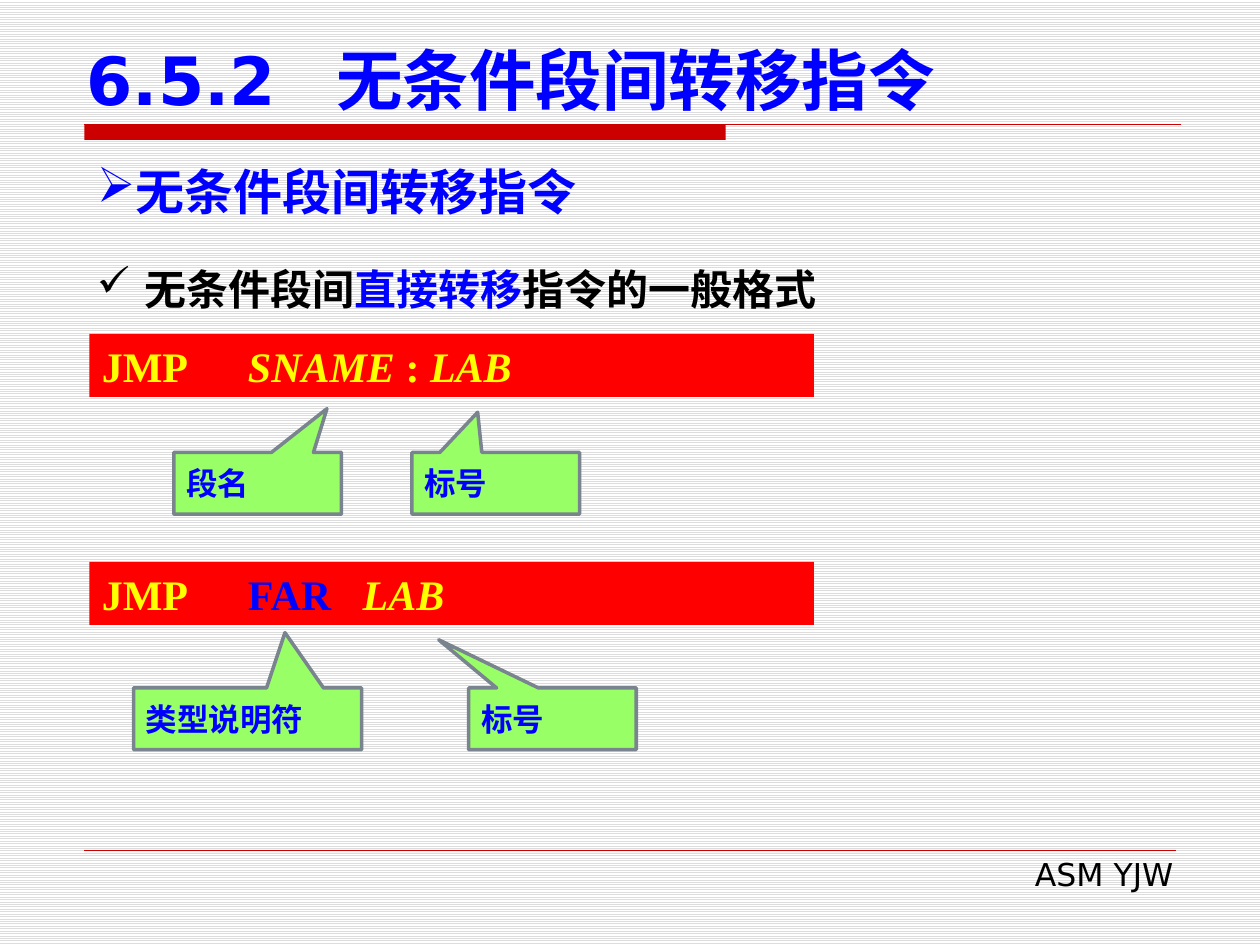
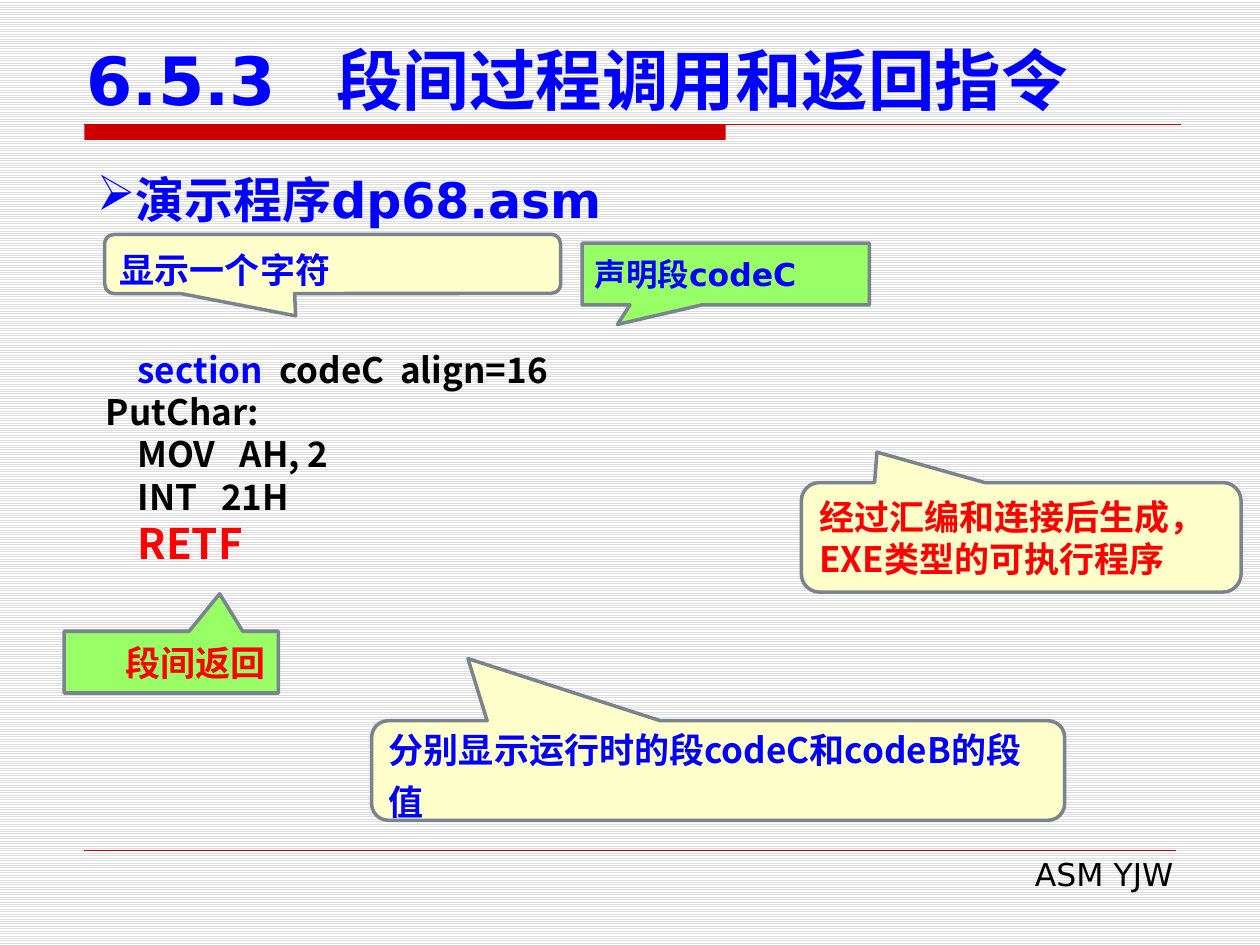
from dataclasses import dataclass

import pptx
import pptx.dml.color
import pptx.enum.dml
import pptx.enum.shapes
import pptx.enum.text
import pptx.oxml.ns
import pptx.util
from lxml import etree
from pptx.util import Inches

SHAPES = pptx.enum.shapes.MSO_SHAPE
ANCHORS = pptx.enum.text.MSO_ANCHOR
ALIGNMENTS = pptx.enum.text.PP_ALIGN


@dataclass(frozen=True)
class Theme:
    blue: str = "0000FF"
    black: str = "000000"
    red: str = "FF0000"
    yellow: str = "FFFF00"
    band: str = "CC0000"
    stripe: str = "DDDDDD"
    paper: str = "FFFFFF"
    green: str = "99FF66"
    cream: str = "FFFFCC"
    outline: str = "79848F"
    sans: str = "DejaVu Sans"
    chinese: str = "Noto Sans CJK SC"
    serif: str = "Times New Roman"
    title_size: int = 38
    heading_size: int = 28
    large_size: int = 24
    medium_size: int = 20
    small_size: int = 18


THEME = Theme()


@dataclass(frozen=True)
class Style:
    size: int
    font: str
    color: str
    bold: bool = True


TITLE = Style(THEME.title_size, THEME.sans, THEME.blue)
HEADING = Style(THEME.heading_size, THEME.sans, THEME.blue)
POINT = Style(THEME.large_size, THEME.chinese, THEME.black)
SYNTAX = Style(THEME.large_size, THEME.serif, THEME.yellow)
CODE = Style(THEME.medium_size, THEME.chinese, THEME.black)
LABEL = Style(THEME.small_size, THEME.sans, THEME.blue)
RETURN_LABEL = Style(THEME.medium_size, THEME.sans, THEME.red)
NOTE = Style(THEME.medium_size, THEME.chinese, THEME.blue)
RESULT_NOTE = Style(THEME.medium_size, THEME.chinese, THEME.red)
FOOTER = Style(THEME.small_size, THEME.sans, THEME.black, bold=False)


def rgb(color):
    return pptx.dml.color.RGBColor.from_string(color)


def add_element(parent, tag, **attributes):
    return etree.SubElement(parent, pptx.oxml.ns.qn(tag), attributes)


def format_run(run, style, color=None, size=None, italic=False):
    font = run.font
    font.size = pptx.util.Pt(size or style.size)
    font.bold = style.bold
    font.italic = italic
    font.color.rgb = rgb(color or style.color)
    font.name = style.font
    add_element(font._element, "a:ea", typeface=THEME.chinese)


def write(text_frame, lines, style, align=ALIGNMENTS.LEFT, anchor=ANCHORS.TOP,
          spacing=None, bullet=None, hanging=0, tabs=()):
    """Fill a frame; a line is a string or a list of (text, run changes)."""
    text_frame.word_wrap = True
    text_frame.vertical_anchor = anchor
    for index, line in enumerate(lines):
        paragraph = text_frame.paragraphs[0] if index == 0 else text_frame.add_paragraph()
        properties = paragraph._p.get_or_add_pPr()
        if bullet:
            properties.set("marL", str(Inches(hanging)))
            properties.set("indent", str(-Inches(hanging)))
            add_element(properties, "a:buChar", char=bullet)
        if tabs:
            stops = add_element(properties, "a:tabLst")
            for position in tabs:
                add_element(stops, "a:tab", pos=str(Inches(position)), algn="l")
        paragraph.alignment = align
        if spacing:
            paragraph.line_spacing = spacing
        pieces = [(line, {})] if isinstance(line, str) else line
        for text, changes in pieces:
            run = paragraph.add_run()
            run.text = text
            format_run(run, style, **changes)


def add_text(slide, box, lines, style, **layout):
    text_box = slide.shapes.add_textbox(*map(Inches, box))
    write(text_box.text_frame, lines, style, **layout)


def add_filled_shape(slide, kind, box, fill):
    shape = slide.shapes.add_shape(kind, *map(Inches, box))
    shape.shadow.inherit = False
    shape.fill.solid()
    shape.fill.fore_color.rgb = rgb(fill)
    shape.line.fill.background()
    return shape


def add_rule(slide, left, right, top, width):
    rule = slide.shapes.add_connector(
        pptx.enum.shapes.MSO_CONNECTOR.STRAIGHT,
        Inches(left), Inches(top), Inches(right), Inches(top))
    rule.line.color.rgb = rgb(THEME.band)
    rule.line.width = pptx.util.Pt(width)
    add_element(rule._element.spPr, "a:effectLst")


def add_callout(slide, box, tip, lines, style, rounded=False, **layout):
    """Tip is the pointer's offset from the centre, as a share of the box."""
    kind = SHAPES.ROUNDED_RECTANGULAR_CALLOUT if rounded else SHAPES.RECTANGULAR_CALLOUT
    fill = THEME.cream if rounded else THEME.green
    callout = add_filled_shape(slide, kind, box, fill)
    callout.adjustments[0], callout.adjustments[1] = tip
    callout.line.color.rgb = rgb(THEME.outline)
    callout.line.width = pptx.util.Pt(2)
    write(callout.text_frame, lines, style, anchor=ANCHORS.MIDDLE, **layout)


def add_syntax_bar(slide, top, pieces, tabs):
    bar = add_filled_shape(slide, SHAPES.RECTANGLE, (0.71, top, 5.75, 0.5), THEME.red)
    write(bar.text_frame, [pieces], SYNTAX, tabs=tabs)


def add_heading(slide, top, height, text, **layout):
    add_text(slide, (0.67, top, 8.66, height), [text], HEADING,
             align=ALIGNMENTS.JUSTIFY, bullet="➢", **layout)


def add_framed_slide(presentation, number, title):
    """Add a slide with the striped paper, title, red band and footer."""
    slide = presentation.slides.add_slide(presentation.slide_layouts[6])
    paper = slide.background.fill
    paper.patterned()
    paper.pattern = pptx.enum.dml.MSO_PATTERN.LIGHT_HORIZONTAL
    paper.fore_color.rgb = rgb(THEME.stripe)
    paper.back_color.rgb = rgb(THEME.paper)
    add_filled_shape(slide, SHAPES.RECTANGLE, (0.67, 0.99, 5.09, 0.12), THEME.band)
    add_rule(slide, 0.67, 9.37, 0.99, 0.75)
    add_rule(slide, 0.67, 9.33, 6.75, 0.25)
    add_text(slide, (3.82, 6.74, 5.59, 0.4), ["ASM YJW"], FOOTER, align=ALIGNMENTS.RIGHT)
    add_text(slide, (0.59, 0.28, 9.06, 0.71), [f"{number}\t{title}"], TITLE,
             anchor=ANCHORS.BOTTOM, tabs=[1.98])
    return slide


def build_jump_slide(presentation):
    slide = add_framed_slide(presentation, "6.5.2", "无条件段间转移指令")
    add_heading(slide, 1.23, 0.57, "无条件段间转移指令")
    point = [("无条件段间", {}), ("直接转移", {"color": THEME.blue}), ("指令的一般格式", {})]
    add_text(slide, (0.67, 1.94, 8.82, 0.61), [point], POINT,
             spacing=pptx.util.Pt(36), bullet="✓", hanging=0.38)

    italic = {"italic": True}
    add_syntax_bar(slide, 2.65, [("JMP\t", {}), ("SNAME", italic), (" :", {}),
                                 (" LAB", italic)], [1.16])
    add_syntax_bar(slide, 4.46, [("JMP\t", {}), ("FAR\t", {"color": THEME.blue}),
                                 ("LAB", italic)], [1.16, 2.07])

    for left, top, width, tip, text in (
            (1.38, 3.59, 1.33, (0.414, -1.208), "段名"),
            (3.27, 3.59, 1.33, (-0.108, -1.15), "标号"),
            (3.72, 5.46, 1.33, (-0.679, -1.28), "标号"),
            (1.06, 5.46, 1.81, (0.164, -1.396), "类型说明符")):
        add_callout(slide, (left, top, width, 0.49), tip, [text], LABEL)


def build_call_slide(presentation):
    slide = add_framed_slide(presentation, "6.5.3", "段间过程调用和返回指令")
    add_heading(slide, 1.11, 0.67, "演示程序dp68.asm", spacing=1.4)
    code = [
        [("    ", {}), ("section  ", {"color": THEME.blue}), ("codeC  align=16", {})],
        "PutChar:",
        "    MOV   AH, 2",
        "    INT   21H",
        [("    ", {}), ("RETF", {"color": THEME.red, "size": THEME.large_size})],
    ]
    add_text(slide, (0.74, 2.72, 8.35, 1.85), code, CODE)

    note_spacing = pptx.util.Pt(30)
    add_callout(slide, (0.83, 1.86, 3.62, 0.47), (-0.081, 0.877), ["显示一个字符"],
                NOTE, rounded=True, spacing=note_spacing)
    add_callout(slide, (4.62, 1.93, 2.28, 0.49), (-0.377, 0.816), ["声明段codeC"], LABEL)
    add_callout(slide, (0.51, 5.01, 1.7, 0.49), (0.226, -1.107), ["段间返回"],
                RETURN_LABEL, align=ALIGNMENTS.RIGHT)
    add_callout(slide, (2.95, 5.72, 5.5, 0.79), (-0.361, -1.124),
                ["分别显示运行时的段codeC和codeB的段值"],
                NOTE, rounded=True, spacing=note_spacing)
    add_callout(slide, (6.36, 3.83, 3.49, 0.87), (-0.328, -0.777),
                ["经过汇编和连接后生成，", "EXE类型的可执行程序"],
                RESULT_NOTE, rounded=True)


def main():
    presentation = pptx.Presentation()
    presentation.slide_width = Inches(10)
    presentation.slide_height = Inches(7.5)
    build_jump_slide(presentation)
    build_call_slide(presentation)
    presentation.save("out.pptx")


if __name__ == "__main__":
    main()
